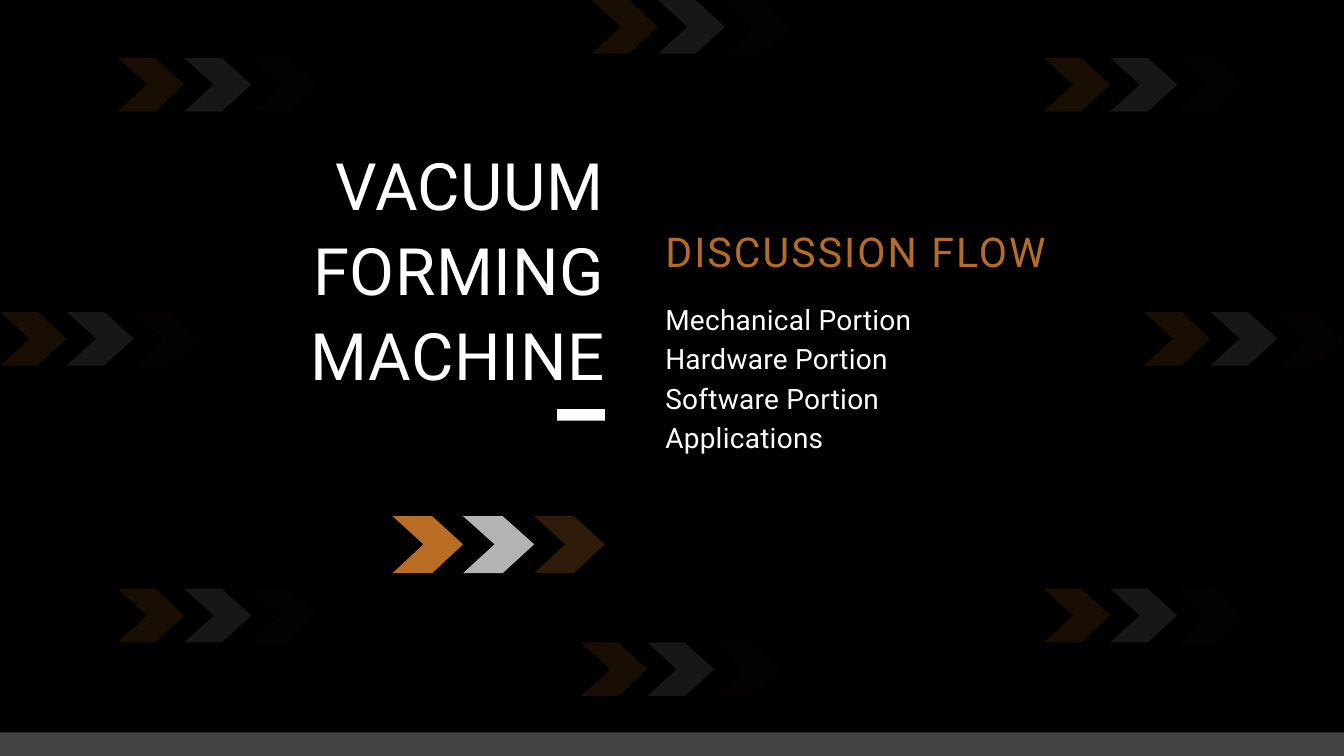
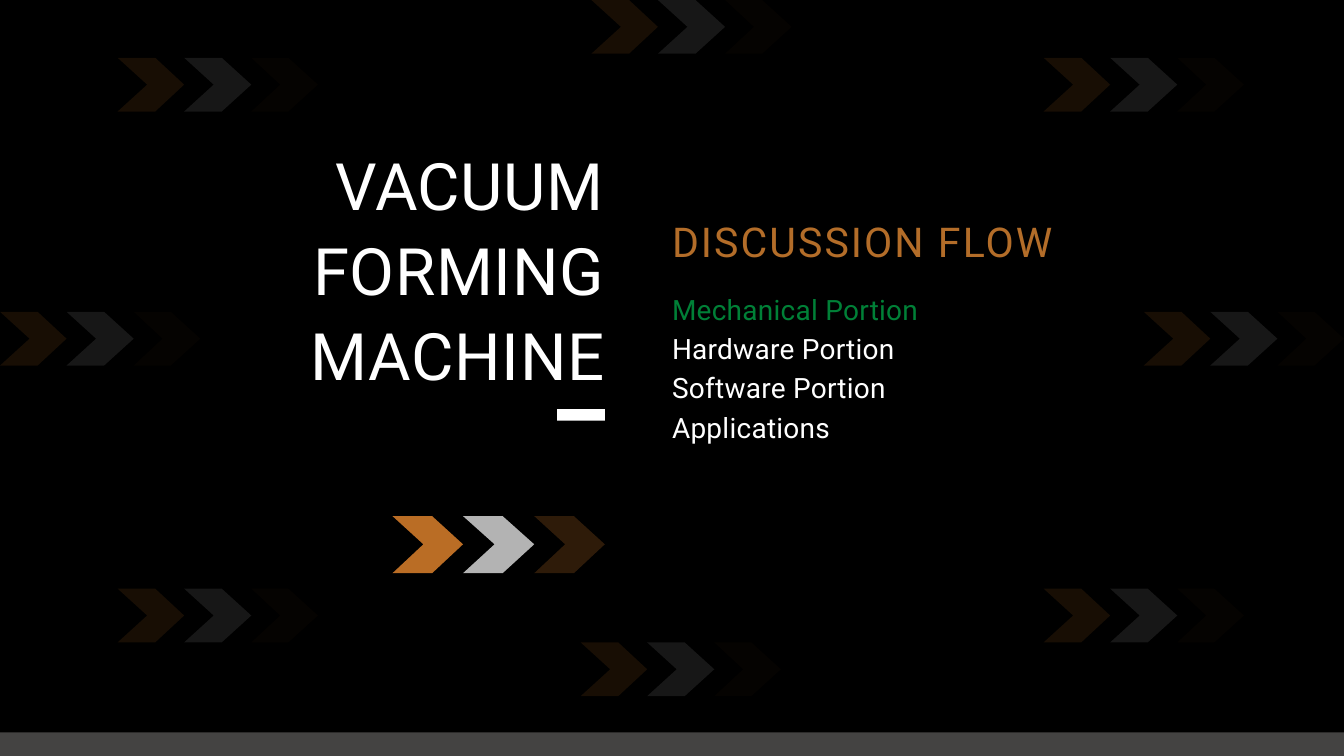
from dataclasses import dataclass

import lxml.etree
import pptx
import pptx.dml.color
import pptx.enum.shapes
import pptx.enum.text
import pptx.oxml.ns
import pptx.shapes.autoshape
import pptx.slide
import pptx.util

RGB = pptx.dml.color.RGBColor
ALIGN = pptx.enum.text.PP_ALIGN

# Scale: 100 px to the inch
PX = 9144
WIDE, HIGH = 2000, 1125

# Colours and font
BLACK = RGB(0x00, 0x00, 0x00)
WHITE = RGB(0xFF, 0xFF, 0xFF)
ORANGE = RGB(0xBA, 0x6D, 0x25)
AMBER = RGB(0xB3, 0x6D, 0x29)
GREEN = RGB(0x00, 0x80, 0x37)
GREY = RGB(0x44, 0x43, 0x42)
FONT = "Roboto"


@dataclass(frozen=True)
class Box:
    left: int
    top: int
    width: int
    height: int


@dataclass(frozen=True)
class Style:
    size: int
    color: RGB
    line: float
    track: float
    align: ALIGN = ALIGN.LEFT


@dataclass(frozen=True)
class Trio:
    """Three chevrons side by side, with the opacity of each in percent."""
    box: Box
    alphas: tuple[int, int, int]


@dataclass(frozen=True)
class Page:
    left: int
    top: int
    active: int | None = None


TITLE = Style(70, WHITE, 91, 0.7, ALIGN.RIGHT)
HEAD = Style(44, AMBER, 57.2, 2.2)
LIST = Style(30, WHITE, 42, 0.3)

TOPICS = ["Mechanical Portion", "Hardware Portion", "Software Portion", "Applications"]
PAGES = [Page(990, 331), Page(1000, 316, active=0)]

# Faint chevrons round the edge, and the bright ones below the title
SPOTS = [(1553, 86), (880, 0), (175, 86), (175, 876),
         (864, 956), (1553, 876), (0, 464), (1702, 464)]
TRIOS = [Trio(Box(x, y, 298, 80), (13, 9, 3)) for x, y in SPOTS]
TRIOS.append(Trio(Box(584, 768, 316, 85), (100, 70, 25)))


def place(shape: pptx.shapes.autoshape.Shape, box: Box) -> None:
    shape.left, shape.top = box.left * PX, box.top * PX
    shape.width, shape.height = box.width * PX, box.height * PX


def paint(shape: pptx.shapes.autoshape.Shape, color: RGB, alpha: int = 100) -> None:
    shape.shadow.inherit = False
    shape.line.fill.background()
    shape.fill.solid()
    shape.fill.fore_color.rgb = color
    if alpha < 100:
        tone = shape._element.spPr.find(".//" + pptx.oxml.ns.qn("a:srgbClr"))
        lxml.etree.SubElement(tone, pptx.oxml.ns.qn("a:alpha"), val=str(alpha * 1000))


def draw_bar(slide: pptx.slide.Slide, box: Box, color: RGB) -> None:
    bar = slide.shapes.add_shape(pptx.enum.shapes.MSO_SHAPE.RECTANGLE, 0, 0, 0, 0)
    place(bar, box)
    paint(bar, color)


def draw_trio(slide: pptx.slide.Slide, trio: Trio) -> None:
    group = slide.shapes.add_group_shape()
    box = trio.box
    step = box.width / 3
    low, mid = box.top + box.height, box.top + box.height // 2
    for i, (color, alpha) in enumerate(zip((ORANGE, WHITE, ORANGE), trio.alphas)):
        start = box.left + i * step
        left, notch, bend, tip = (round(start + part * step) for part in (0, 0.44, 0.56, 1))
        pen = group.shapes.build_freeform(bend, box.top, scale=PX)
        pen.add_line_segments([(left, box.top), (notch, mid), (left, low),
                               (bend, low), (tip, mid)], close=True)
        paint(pen.convert_to_shape(), color, alpha)


def write(shape: pptx.shapes.autoshape.Shape, box: Box, text: str, style: Style) -> None:
    frame = shape.text_frame
    frame.text = text
    frame.word_wrap = True
    frame.auto_size = pptx.enum.text.MSO_AUTO_SIZE.SHAPE_TO_FIT_TEXT
    frame.vertical_anchor = pptx.enum.text.MSO_ANCHOR.TOP
    frame.margin_left = frame.margin_right = 0
    frame.margin_top = frame.margin_bottom = 0
    place(shape, box)
    for para in frame.paragraphs:
        para.alignment = style.align
        para.line_spacing = pptx.util.Pt(style.line)
        para.space_before = para.space_after = pptx.util.Pt(0)
        # No bullet and no hanging indent
        props = para._p.get_or_add_pPr()
        props.set("marL", "0")
        props.set("indent", "0")
        lxml.etree.SubElement(props, pptx.oxml.ns.qn("a:buNone"))
        for run in para.runs:
            run.font.name = FONT
            run.font.size = pptx.util.Pt(style.size)
            run.font.color.rgb = style.color
            run.font._element.set("spc", str(round(style.track * 100)))


def add_page(deck: pptx.presentation.Presentation, page: Page) -> None:
    slide = deck.slides.add_slide(deck.slide_layouts[1])
    slide.background.fill.solid()
    slide.background.fill.fore_color.rgb = BLACK

    # Shared frame
    for trio in TRIOS:
        draw_trio(slide, trio)
    draw_bar(slide, Box(-20, 1090, WIDE + 40, 56), GREY)
    write(slide.shapes.title, Box(243, 207, 657, 375), "VACUUM FORMING MACHINE", TITLE)
    draw_bar(slide, Box(829, 609, 71, 17), WHITE)

    # Discussion list
    head = slide.shapes.add_textbox(0, 0, 0, 0)
    write(head, Box(page.left, page.top, 768, 78), "DISCUSSION FLOW", HEAD)
    body = slide.placeholders[1]
    write(body, Box(page.left, page.top + 111, 768, 290), "\n".join(TOPICS), LIST)
    if page.active is not None:
        body.text_frame.paragraphs[page.active].runs[0].font.color.rgb = GREEN


def main() -> None:
    deck = pptx.Presentation()
    deck.slide_width, deck.slide_height = WIDE * PX, HIGH * PX
    for page in PAGES:
        add_page(deck, page)
    deck.save("out.pptx")


if __name__ == "__main__":
    main()
